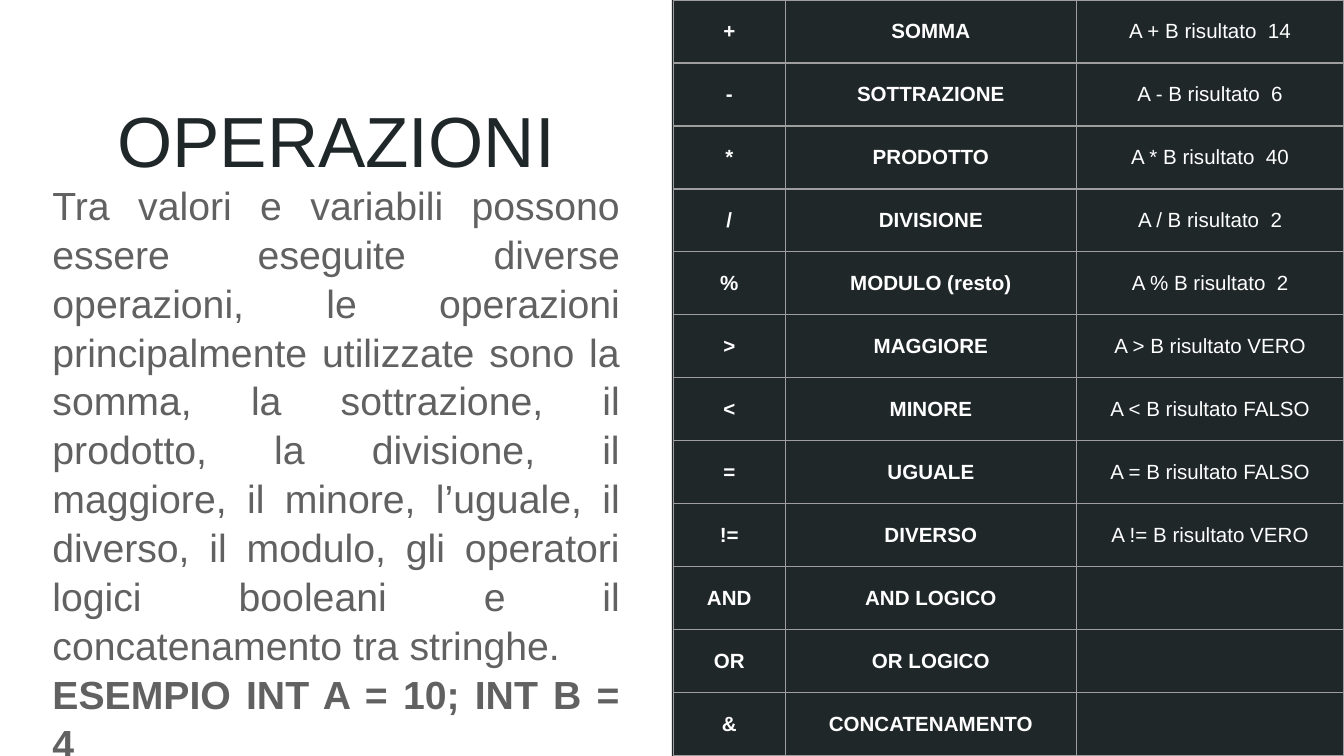
from lxml import etree
from pptx import Presentation
from pptx.dml.color import RGBColor
from pptx.enum.shapes import MSO_SHAPE
from pptx.enum.text import MSO_ANCHOR, MSO_AUTO_SIZE, PP_ALIGN
from pptx.oxml.ns import qn
from pptx.util import Pt

CENTER, JUSTIFY = PP_ALIGN.CENTER, PP_ALIGN.JUSTIFY
MIDDLE = MSO_ANCHOR.MIDDLE
NO_AUTOFIT = MSO_AUTO_SIZE.NONE
RECTANGLE = MSO_SHAPE.RECTANGLE

COLORS = {"dark": "202729", "body": "616161", "white": "FFFFFF", "border": "9E9E9E"}
FONT = "Arial"
SLIDE_WIDTH, SLIDE_HEIGHT = 720, 405
INSET = 7.2
TABLE_LEFT = 360.7
COLUMN_WIDTHS = (60, 156, 143.3)

TITLE = "OPERAZIONI"
EXPLANATION = (
    "Tra valori e variabili possono essere eseguite diverse operazioni, "
    "le operazioni principalmente utilizzate sono la somma, la sottrazione, "
    "il prodotto, la divisione, il maggiore, il minore, l’uguale, il diverso, "
    "il modulo, gli operatori logici booleani e il concatenamento tra stringhe."
)
EXAMPLE = "ESEMPIO INT A = 10; INT B = 4"
OPERATORS = [
    ("+", "SOMMA", "A + B risultato  14"),
    ("-", "SOTTRAZIONE", "A - B risultato  6"),
    ("*", "PRODOTTO", "A * B risultato  40"),
    ("/", "DIVISIONE", "A / B risultato  2"),
    ("%", "MODULO (resto)", "A % B risultato  2"),
    (">", "MAGGIORE", "A > B risultato VERO"),
    ("<", "MINORE", "A < B risultato FALSO"),
    ("=", "UGUALE", "A = B risultato FALSO"),
    ("!=", "DIVERSO", "A != B risultato VERO"),
    ("AND", "AND LOGICO", ""),
    ("OR", "OR LOGICO", ""),
    ("&", "CONCATENAMENTO", ""),
]


def set_attributes(target, values):
    for attribute, value in values.items():
        setattr(target, attribute, value)


def write_paragraph(paragraph, text, size, color, align, bold=False, spacing=1.0):
    run = paragraph.add_run()
    run.text = text
    set_attributes(run.font, {"name": FONT, "size": Pt(size), "bold": bold})
    run.font.color.rgb = RGBColor.from_string(COLORS[color])
    set_attributes(paragraph, {
        "alignment": align, "line_spacing": spacing,
        "space_before": Pt(0), "space_after": Pt(0),
    })


def set_margins(target):
    for side in ("left", "top", "right", "bottom"):
        setattr(target, f"margin_{side}", Pt(INSET))


def place_placeholder(placeholder, left, top, width, height):
    """Move a placeholder and return its prepared text frame."""
    set_attributes(placeholder, {
        "left": Pt(left), "top": Pt(top), "width": Pt(width), "height": Pt(height),
    })
    frame = placeholder.text_frame
    set_attributes(frame, {
        "word_wrap": True, "auto_size": NO_AUTOFIT, "vertical_anchor": MIDDLE,
    })
    set_margins(frame)
    return frame


def add_panel(slide, left, top, width, height):
    panel = slide.shapes.add_shape(RECTANGLE, Pt(left), Pt(top), Pt(width), Pt(height))
    panel.shadow.inherit = False
    panel.fill.solid()
    panel.fill.fore_color.rgb = RGBColor.from_string(COLORS["dark"])
    panel.line.fill.background()


def add_cell_borders(cell):
    properties = cell._tc.get_or_add_tcPr()
    for index, side in enumerate(("lnL", "lnR", "lnT", "lnB")):
        border = etree.Element(qn(f"a:{side}"), w=str(Pt(0.75)))
        fill = etree.SubElement(border, qn("a:solidFill"))
        etree.SubElement(fill, qn("a:srgbClr"), val=COLORS["border"])
        properties.insert(index, border)


def add_operator_table(slide):
    row_height = SLIDE_HEIGHT / len(OPERATORS)
    table = slide.shapes.add_table(
        len(OPERATORS), len(COLUMN_WIDTHS), Pt(TABLE_LEFT), Pt(0),
        Pt(sum(COLUMN_WIDTHS)), Pt(SLIDE_HEIGHT),
    ).table
    set_attributes(table, {"first_row": False, "horz_banding": False})
    for column, width in zip(table.columns, COLUMN_WIDTHS):
        column.width = Pt(width)
    for row, texts in zip(table.rows, OPERATORS):
        row.height = Pt(row_height)
        for column_index, (cell, text) in enumerate(zip(row.cells, texts)):
            cell.fill.solid()
            cell.fill.fore_color.rgb = RGBColor.from_string(COLORS["dark"])
            add_cell_borders(cell)
            if text:
                cell.vertical_anchor = MIDDLE
                set_margins(cell)
                write_paragraph(cell.text_frame.paragraphs[0], text, 11, "white",
                                CENTER, bold=column_index < 2)


def main():
    presentation = Presentation()
    set_attributes(presentation, {
        "slide_width": Pt(SLIDE_WIDTH), "slide_height": Pt(SLIDE_HEIGHT),
    })
    slide = presentation.slides.add_slide(presentation.slide_layouts[0])
    add_panel(slide, SLIDE_WIDTH / 2, 0, SLIDE_WIDTH / 2, SLIDE_HEIGHT)

    heading = place_placeholder(slide.shapes.title, 20.9, 15, 318.5, 119)
    write_paragraph(heading.paragraphs[0], TITLE, 38, "dark", CENTER)

    description = place_placeholder(slide.placeholders[1], 20.9, 101.5, 318.5, 303.5)
    write_paragraph(description.paragraphs[0], EXPLANATION, 21, "body", JUSTIFY,
                    spacing=1.04)
    write_paragraph(description.add_paragraph(), EXAMPLE, 21, "body", JUSTIFY,
                    bold=True, spacing=1.04)

    add_operator_table(slide)
    presentation.save("out.pptx")


if __name__ == "__main__":
    main()
